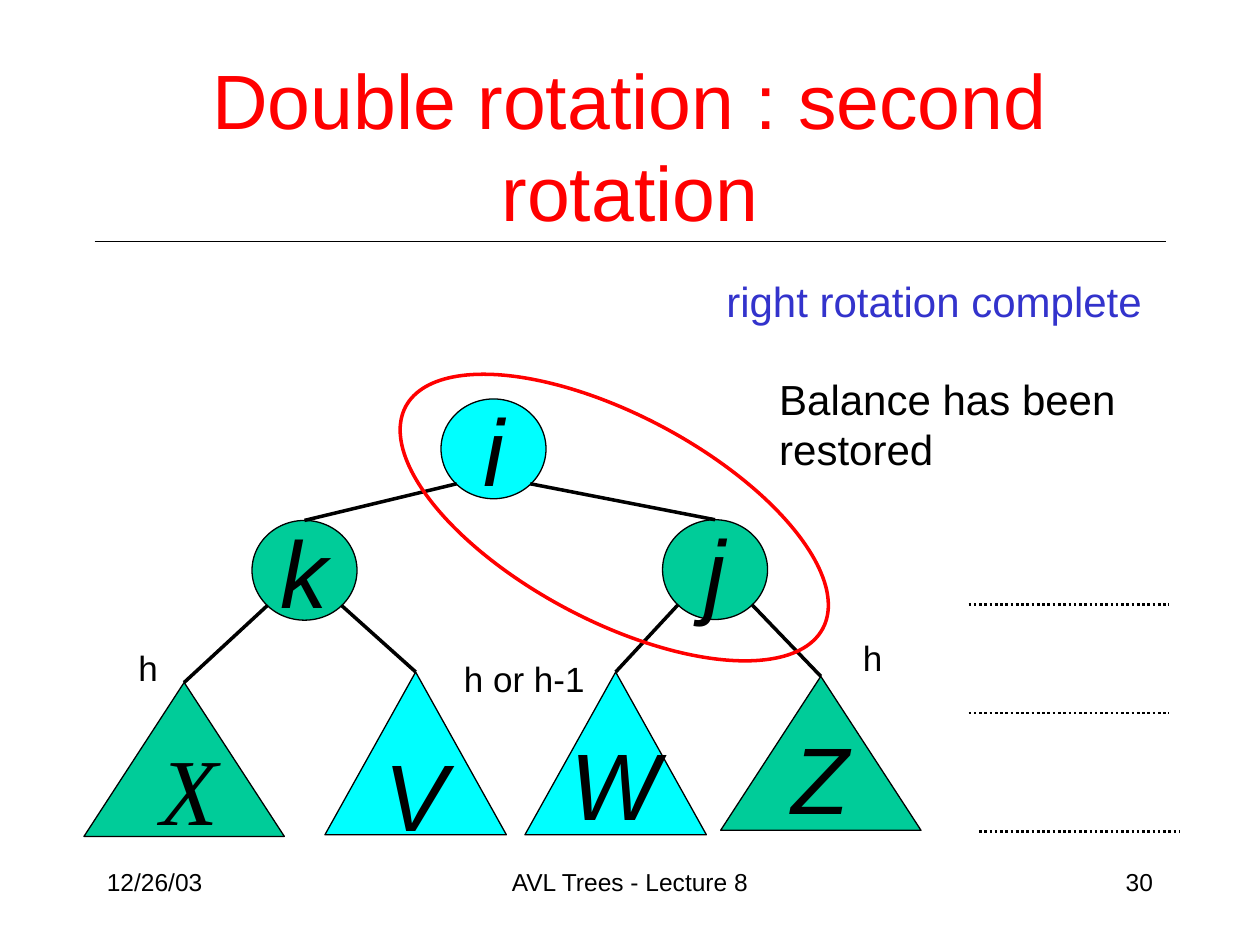
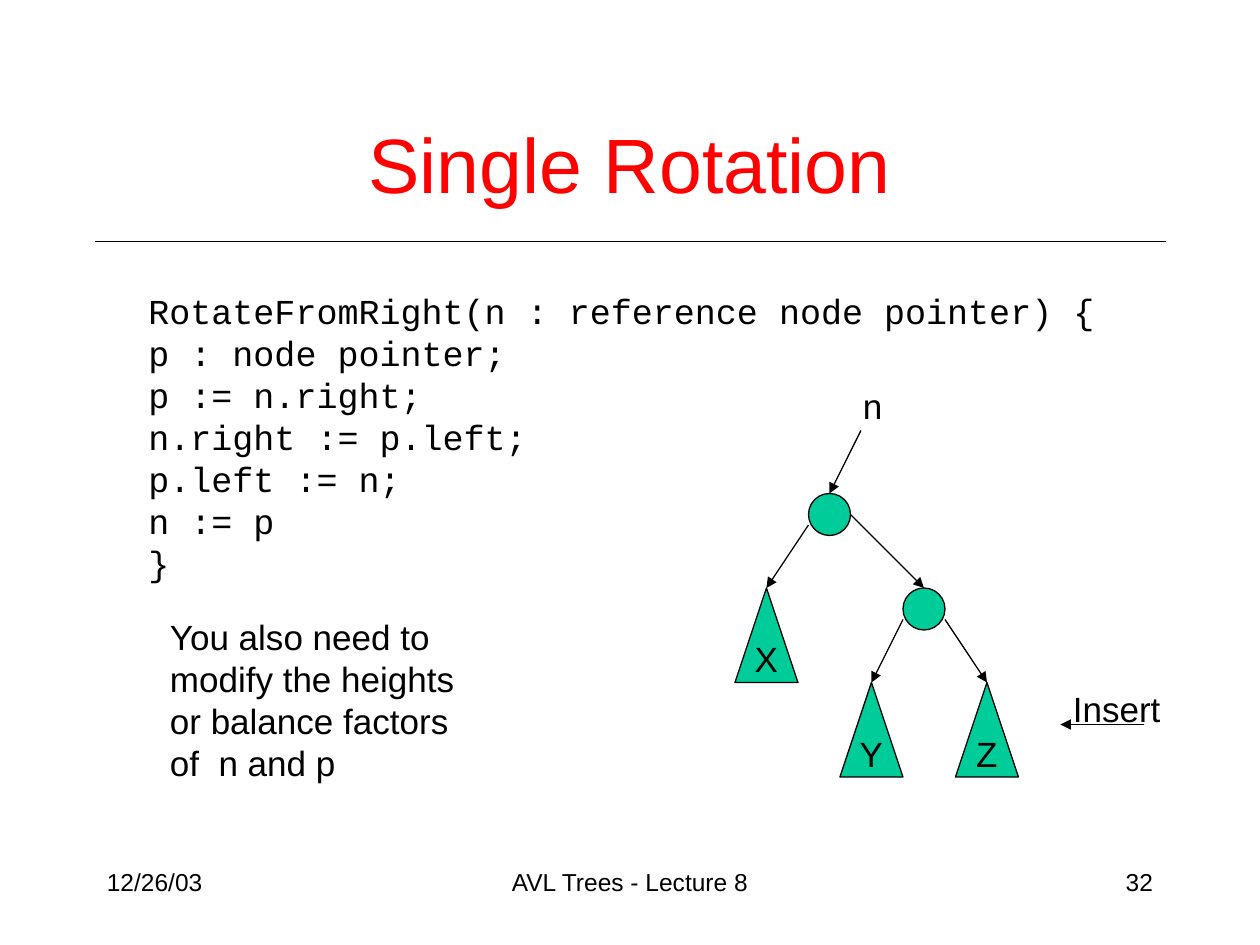
import dataclasses
import typing

import lxml.etree
import pptx
import pptx.dml.color
import pptx.enum.dml
import pptx.enum.shapes
import pptx.enum.text
import pptx.oxml.ns
import pptx.util

Pt = pptx.util.Pt
Kind = pptx.enum.shapes.MSO_SHAPE
Align = pptx.enum.text.PP_ALIGN
Anchor = pptx.enum.text.MSO_ANCHOR
Fit = pptx.enum.text.MSO_AUTO_SIZE
Dash = pptx.enum.dml.MSO_LINE

BLACK, RED, BLUE = "000000", "FF0000", "3333CC"
GREEN, CYAN = "00CC99", "00FFFF"
SANS, MONO, SERIF = "Arial", "Courier New", "Times New Roman"
CORNER = 0.15


class Box(typing.NamedTuple):
    x: float
    y: float
    w: float
    h: float


@dataclasses.dataclass
class Style:
    size: float = 20
    ink: str = BLACK
    face: str = SANS
    slant: bool = False
    align: Align = Align.LEFT


@dataclasses.dataclass
class Node:
    box: Box
    kind: Kind = Kind.OVAL
    fill: typing.Optional[str] = GREEN
    word: str = ""
    style: Style = dataclasses.field(default_factory=Style)
    edge: str = BLACK
    width: float = 0.75
    turn: float = 0


@dataclasses.dataclass
class Label:
    box: Box
    lines: list[str]
    style: Style = dataclasses.field(default_factory=Style)
    wrap: bool = False
    grow: bool = True
    anchor: Anchor = Anchor.TOP


@dataclasses.dataclass
class Line:
    x1: float
    y1: float
    x2: float
    y2: float
    width: float = 0.75
    dots: bool = False
    arrow: bool = False


LETTER = Style(54, slant=True)
CENTER = Style(54, slant=True, align=Align.CENTER)
LEAF = Style(align=Align.CENTER)
TITLE = Style(44, RED, align=Align.CENTER)
RULE = Line(54, 138, 666, 138)


def color(code: str) -> pptx.dml.color.RGBColor:
    return pptx.dml.color.RGBColor.from_string(code)


def write(frame, lines: list[str], style: Style) -> None:
    for index, line in enumerate(lines):
        para = frame.add_paragraph() if index else frame.paragraphs[0]
        para.alignment = style.align
        run = para.add_run()
        run.text = line
        run.font.size = Pt(style.size)
        run.font.name = style.face
        run.font.italic = style.slant
        run.font.color.rgb = color(style.ink)


def draw_node(slide, node: Node) -> None:
    shape = slide.shapes.add_shape(node.kind, *map(Pt, node.box))
    shape.shadow.inherit = False
    shape.rotation = node.turn
    if node.fill:
        shape.fill.solid()
        shape.fill.fore_color.rgb = color(node.fill)
    else:
        shape.fill.background()
    shape.line.color.rgb = color(node.edge)
    shape.line.width = Pt(node.width)
    if node.word:
        frame = shape.text_frame
        frame.word_wrap = False
        frame.vertical_anchor = Anchor.MIDDLE
        write(frame, [node.word], node.style)


def draw_label(slide, label: Label) -> None:
    frame = slide.shapes.add_textbox(*map(Pt, label.box)).text_frame
    frame.word_wrap = label.wrap
    frame.auto_size = Fit.SHAPE_TO_FIT_TEXT if label.grow else Fit.NONE
    frame.vertical_anchor = label.anchor
    write(frame, label.lines, label.style)


def draw_line(slide, line: Line) -> None:
    ends = map(Pt, (line.x1, line.y1, line.x2, line.y2))
    shape = slide.shapes.add_connector(pptx.enum.shapes.MSO_CONNECTOR.STRAIGHT, *ends)
    shape.line.color.rgb = color(BLACK)
    shape.line.width = Pt(line.width)
    if line.dots:
        shape.line.dash_style = Dash.ROUND_DOT
    props = shape._element.spPr
    qn = pptx.oxml.ns.qn
    if line.arrow:
        lxml.etree.SubElement(props.find(qn("a:ln")), qn("a:tailEnd"), type="triangle")
    lxml.etree.SubElement(props, qn("a:effectLst"))


def branch(node: Node, child: Node, right: bool) -> Line:
    x, y, w, h = node.box
    share = 1 - CORNER if right else CORNER
    top = child.box
    return Line(x + share * w, y + (1 - CORNER) * h, top.x + top.w / 2, top.y, 2)


def add_slide(deck, title: str, box: Box, page: str):
    slide = deck.slides.add_slide(deck.slide_layouts.get_by_name("Title Only"))
    head = slide.shapes.title
    head.left, head.top, head.width, head.height = map(Pt, box)
    head.text_frame.auto_size = Fit.NONE
    head.text_frame.vertical_anchor = Anchor.MIDDLE
    write(head.text_frame, [title], TITLE)
    draw_line(slide, RULE)
    for x, w, text, align in (
        (54, 150, "12/26/03", Align.LEFT),
        (246, 228, "AVL Trees - Lecture 8", Align.CENTER),
        (516, 150, page, Align.RIGHT),
    ):
        style = Style(14, align=align)
        draw_label(slide, Label(Box(x, 492, w, 36), [text], style, True, False))
    return slide


def fill_slide(slide, nodes: list[Node], lines: list[Line], labels: list[Label]) -> None:
    for draw, items in ((draw_node, nodes), (draw_line, lines), (draw_label, labels)):
        for item in items:
            draw(slide, item)


def double(deck) -> None:
    slide = add_slide(
        deck, "Double rotation : second rotation", Box(52.5, 51, 615, 63.5), "30"
    )

    def round_node(x: float, y: float, word: str, fill: str = GREEN) -> Node:
        return Node(Box(x, y, 60, 57), fill=fill, word=word, style=CENTER)

    def tree(x: float, y: float, w: float, h: float, fill: str, word: str = "") -> Node:
        return Node(Box(x, y, w, h), Kind.ISOSCELES_TRIANGLE, fill, word, CENTER)

    i = round_node(252, 228, "i", CYAN)
    j = round_node(378.6, 297, "j")
    k = round_node(144, 297.4, "k")
    tree_x = tree(48, 390, 114.5, 88, GREEN)
    tree_v = tree(185.7, 384, 103.7, 93, CYAN, "V")
    tree_w = tree(300, 384, 103.7, 93, CYAN)
    tree_z = tree(411.8, 386.5, 114.5, 88, GREEN)
    links = [(i, k, j), (k, tree_x, tree_v), (j, tree_w, tree_z)]
    lines = [
        branch(node, child, right)
        for node, *pair in links
        for right, child in zip((False, True), pair)
    ]
    lines += [
        Line(x, y, x + 114.5, y, 1.5, dots=True)
        for x, y in ((553.5, 345.5), (553.5, 407.5), (559.5, 475))
    ]
    labels = [
        Label(Box(x, y, 37, 72), [word], dataclasses.replace(LETTER, face=face), True)
        for x, y, word, face in (
            (84.5, 414, "X", SERIF),
            (445, 408, "Z", SANS),
            (319, 411.4, "W", SANS),
        )
    ]
    labels += [
        Label(Box(408, 154, 252, 36), ["right rotation complete"], Style(24, BLUE)),
        Label(
            Box(438.2, 209.5, 213, 65),
            ["Balance has been", "restored"],
            Style(24),
            anchor=Anchor.MIDDLE,
        ),
        Label(Box(486, 360, 26, 32), ["h"], wrap=True),
        Label(Box(72, 366, 25, 32), ["h"]),
        Label(Box(258, 372, 83.5, 32), ["h or h-1"]),
    ]
    fill_slide(slide, [j, k, tree_x, tree_v, tree_z, tree_w, i], lines, labels)
    ring = Node(Box(216, 237, 270, 117.5), fill=None, edge=RED, width=2, turn=28)
    draw_node(slide, ring)


def single(deck) -> None:
    slide = add_slide(deck, "Single Rotation", Box(54, 48, 612, 90), "32")
    nodes = [Node(Box(x, y, 24, 24)) for x, y in ((462, 282), (516, 336))]
    nodes += [
        Node(Box(x, y, 36, 54), Kind.ISOSCELES_TRIANGLE, word=word, style=LEAF)
        for x, y, word in ((420, 336, "X"), (480, 390, "Y"), (546, 390, "Z"))
    ]
    lines = [
        Line(*ends, arrow=True)
        for ends in (
            (462, 300, 438, 336),
            (486, 294, 528, 336),
            (516, 354, 498, 390),
            (540, 354, 564, 390),
            (492, 246, 474, 282),
            (654, 414, 606, 414),
        )
    ]
    code = [
        "RotateFromRight(n : reference node pointer) {",
        "p : node pointer;",
        "p := n.right;",
        "n.right := p.left;",
        "p.left := n;",
        "n := p",
        "}",
    ]
    note = "You also need to modify the heights or balance factors of  n and p"
    labels = [
        Label(Box(77.7, 162, 564, 176), code, Style(face=MONO), wrap=True),
        Label(Box(486, 216, 25, 32), ["n"]),
        Label(Box(90, 348, 192, 104), [note], wrap=True),
        Label(Box(606, 389.5, 72, 32), ["Insert"], wrap=True),
    ]
    fill_slide(slide, nodes, lines, labels)


def main() -> None:
    deck = pptx.Presentation()
    deck.slide_width, deck.slide_height = Pt(720), Pt(540)
    double(deck)
    single(deck)
    deck.save("out.pptx")


if __name__ == "__main__":
    main()
